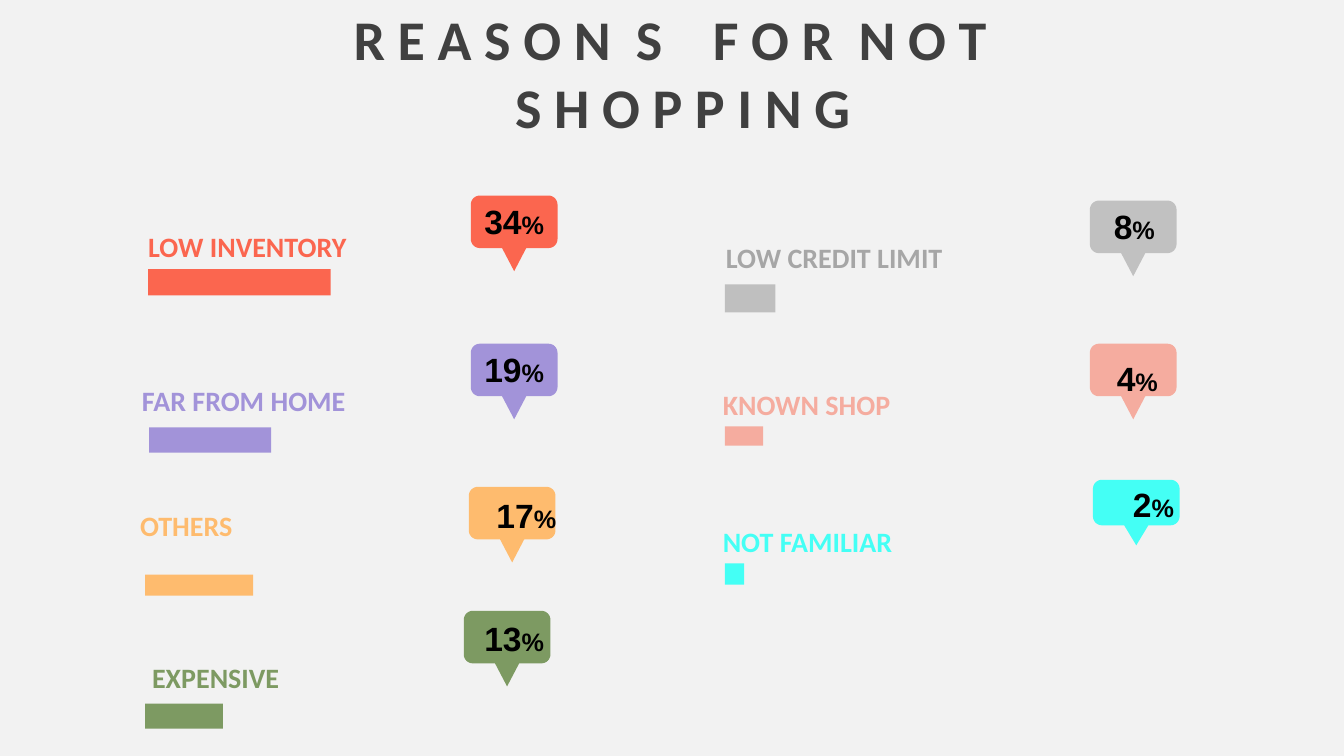
import math
from dataclasses import dataclass

import pptx
import pptx.dml.color
import pptx.enum.shapes
import pptx.enum.text
import pptx.util
from pptx.util import Inches

COLORS = {
    "background": "F2F2F2",
    "title": "404040",
    "figure": "000000",
    "coral": "FB664F",
    "violet": "A293D9",
    "orange": "FEBB6E",
    "green": "7D9A62",
    "gray": "BFBFBF",
    "callout gray": "C1C1C1",
    "label gray": "A6A6A6",
    "pink": "F5AC9F",
    "cyan": "44FFF5",
}
CALLOUT_WIDTH = 0.86
CORNER_RADIUS = 0.09
POINTER_HALF_WIDTH = 0.12
BODY_SHARE = 0.695
CORNER_STEPS = 8
TITLE_SPANS = [
    ("R E A S O N", 0), (" ", 9), ("S", 0), (" ", 27),
    ("F O R", 0), (" ", 9), ("N O T", 0), (" ", 9),
]


@dataclass
class Reason:
    name: str
    percent: int
    bar_color: str
    bar: tuple[float, float, float, float]
    callout: tuple[float, float]
    figure: tuple[float, float]
    label: tuple[float, float]
    callout_color: str = ""
    label_color: str = ""
    callout_height: float = 0.75


REASONS = [
    Reason("LOW INVENTORY", 34, "coral", (1.47, 2.67, 1.81, 0.26),
           (4.67, 1.94), (4.49, 1.94), (1.37, 2.23)),
    Reason("FAR FROM HOME", 19, "violet", (1.48, 4.24, 1.21, 0.25),
           (4.67, 3.41), (4.49, 3.41), (1.31, 3.76)),
    Reason("OTHERS", 17, "orange", (1.44, 5.7, 1.07, 0.21),
           (4.65, 4.83), (4.61, 4.86), (1.29, 5)),
    Reason("EXPENSIVE", 13, "green", (1.44, 6.98, 0.77, 0.25),
           (4.6, 6.06), (4.49, 6.08), (1.41, 6.5)),
    Reason("LOW CREDIT LIMIT", 8, "gray", (7.19, 2.82, 0.5, 0.28),
           (10.81, 1.99), (10.64, 1.99), (7.1, 2.34),
           "callout gray", "label gray"),
    Reason("KNOWN SHOP", 4, "pink", (7.19, 4.23, 0.38, 0.19),
           (10.81, 3.41), (10.67, 3.5), (7.07, 3.8)),
    Reason("NOT FAMILIAR", 2, "cyan", (7.19, 5.59, 0.19, 0.21),
           (10.84, 4.76), (10.83, 4.75), (7.07, 5.15),
           callout_height=0.65),
]


def rgb(color: str) -> pptx.dml.color.RGBColor:
    return pptx.dml.color.RGBColor.from_string(COLORS[color])


def paint(shape, color: str) -> None:
    shape.shadow.inherit = False
    shape.fill.solid()
    shape.fill.fore_color.rgb = rgb(color)
    shape.line.fill.background()


def add_text_box(shapes, left: float, top: float, width: float, height: float,
                 font: str, color: str, centered: bool = False):
    box = shapes.add_textbox(Inches(left), Inches(top), Inches(width), Inches(height))
    box.text_frame.word_wrap = True
    box.text_frame.auto_size = pptx.enum.text.MSO_AUTO_SIZE.SHAPE_TO_FIT_TEXT
    para = box.text_frame.paragraphs[0]
    if centered:
        para.alignment = pptx.enum.text.PP_ALIGN.CENTER
    para.font.name = font
    para.font.bold = True
    para.font.color.rgb = rgb(color)
    return para


def add_span(para, text: str):
    span = para.add_run()
    span.text = text
    return span


def corner(center_x: float, center_y: float, start: int) -> list[tuple[float, float]]:
    angles = [math.radians(start + 90 * step / CORNER_STEPS)
              for step in range(CORNER_STEPS + 1)]
    return [(center_x + CORNER_RADIUS * math.cos(angle),
             center_y + CORNER_RADIUS * math.sin(angle)) for angle in angles]


def add_callout(shapes, left: float, top: float, height: float, color: str) -> None:
    right = left + CALLOUT_WIDTH
    bottom = top + height * BODY_SHARE
    middle = left + CALLOUT_WIDTH / 2
    near_left, near_right = left + CORNER_RADIUS, right - CORNER_RADIUS
    near_top, near_bottom = top + CORNER_RADIUS, bottom - CORNER_RADIUS
    outline = [
        *corner(near_left, near_top, 180),
        *corner(near_right, near_top, 270),
        *corner(near_right, near_bottom, 0),
        (middle + POINTER_HALF_WIDTH, bottom),
        (middle, top + height),
        (middle - POINTER_HALF_WIDTH, bottom),
        *corner(near_left, near_bottom, 90),
    ]
    points = [(Inches(x), Inches(y)) for x, y in outline]
    builder = shapes.build_freeform(*points[0], scale=1.0)
    builder.add_line_segments(points[1:], close=True)
    paint(builder.convert_to_shape(), color)


def add_title(page) -> None:
    para = add_text_box(page.shapes, 2.69, 0, 8.16, 1.45, "Calibri", "title", True)
    para.font.size = pptx.util.Pt(40)
    for text, spacing in TITLE_SPANS:
        span = add_span(para, text)
        if spacing:
            span._r.get_or_add_rPr().set("spc", str(spacing * 100))
    para.add_line_break()
    add_span(para, "S H O P P I N G")


def add_reason(page, reason: Reason) -> None:
    shapes = page.shapes.add_group_shape().shapes
    bar = shapes.add_shape(pptx.enum.shapes.MSO_SHAPE.RECTANGLE,
                           *(Inches(length) for length in reason.bar))
    paint(bar, reason.bar_color)
    add_callout(shapes, *reason.callout, reason.callout_height,
                reason.callout_color or reason.bar_color)
    figure = add_text_box(shapes, *reason.figure, 1.22, 0.5, "Arial", "figure", True)
    for text, size in ((str(reason.percent), 24), ("%", 18)):
        add_span(figure, text).font.size = pptx.util.Pt(size)
    label = add_text_box(page.shapes, *reason.label, 3.21, 0.44, "Calibri",
                         reason.label_color or reason.bar_color)
    label.font.size = pptx.util.Pt(20)
    add_span(label, reason.name)


def main() -> None:
    deck = pptx.Presentation()
    deck.slide_width, deck.slide_height = Inches(13.33), Inches(7.5)
    page = deck.slides.add_slide(deck.slide_layouts[6])
    page.background.fill.solid()
    page.background.fill.fore_color.rgb = rgb("background")
    add_title(page)
    for reason in REASONS:
        add_reason(page, reason)
    deck.save("out.pptx")


if __name__ == "__main__":
    main()
